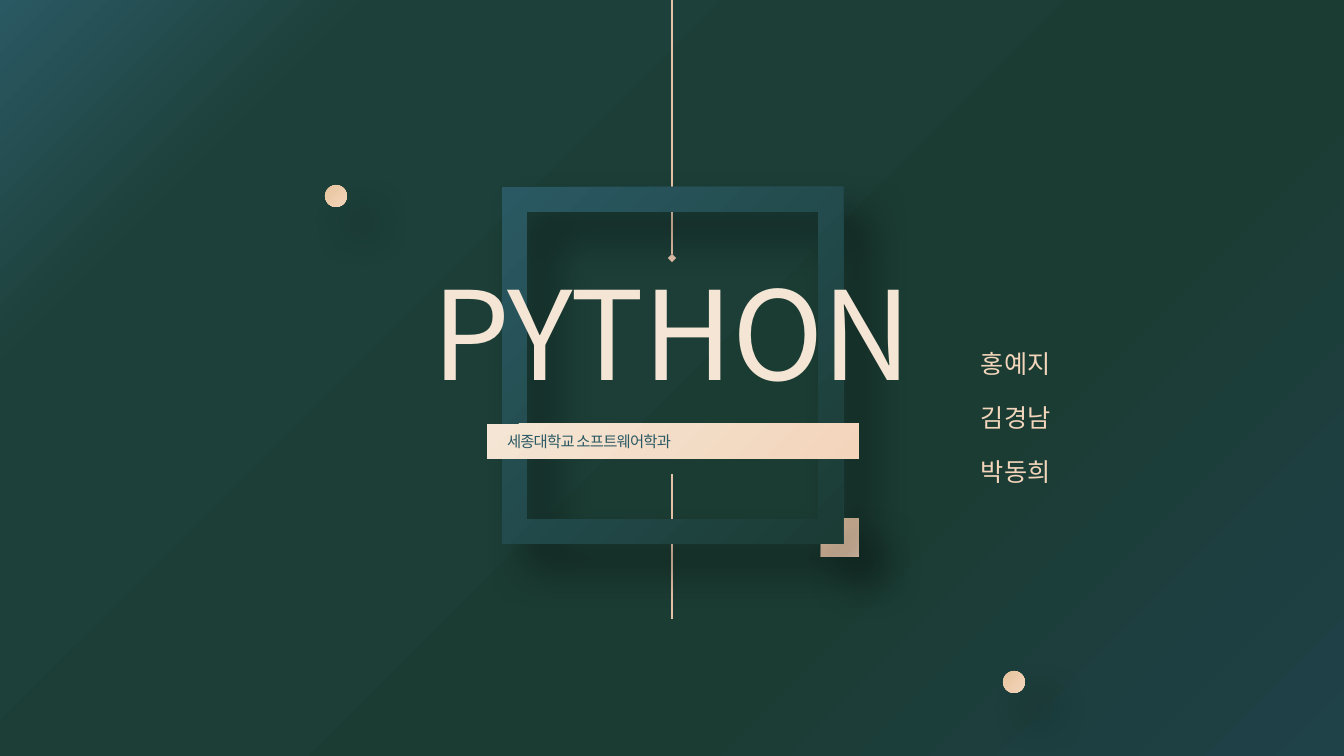
from dataclasses import dataclass
from typing import Any, Optional

from lxml import etree
from pptx import Presentation
from pptx.dml.color import RGBColor
from pptx.enum.shapes import MSO_CONNECTOR, MSO_SHAPE
from pptx.enum.text import MSO_ANCHOR, MSO_AUTO_SIZE, PP_ALIGN
from pptx.oxml import parse_xml
from pptx.oxml.ns import nsdecls, qn
from pptx.util import Pt

STRAIGHT = MSO_CONNECTOR.STRAIGHT
RECTANGLE, FRAME, OVAL = MSO_SHAPE.RECTANGLE, MSO_SHAPE.FRAME, MSO_SHAPE.OVAL
MIDDLE, NO_FIT = MSO_ANCHOR.MIDDLE, MSO_AUTO_SIZE.NONE
LEFT, CENTER, JUSTIFY = PP_ALIGN.LEFT, PP_ALIGN.CENTER, PP_ALIGN.JUSTIFY

PIXELS_PER_INCH = 100.8
FONT = "Noto Sans CJK KR"
COLORS = {
    "teal": "2A5963", "slate": "1F4148", "forest": "1B3C33",
    "pine": "1D403A", "moss": "1B3C35", "line": "E4C2A9",
    "gold": "E7C49D", "peach": "F3D5BB", "cream": "F4E5D4",
}


@dataclass(frozen=True)
class Gradient:
    stops: tuple[tuple[int, str], ...]
    radial: bool = False


@dataclass(frozen=True)
class Ornament:
    kind: Any
    left: int
    top: int
    width: int
    height: int
    gradient: Gradient
    adjustment: Optional[float] = None


BACKDROP = Gradient(((0, "slate"), (33, "forest"), (82, "pine"), (100, "teal")), True)
GOLDEN = Gradient(((0, "gold"), (100, "peach")))
DEEP = Gradient(((0, "teal"), (100, "moss")))
TITLE_GLOW = Gradient(((0, "cream"), (100, "peach")), True)
RIBBON = Gradient(((0, "peach"), (100, "cream")), True)

LINE_X = 672
CORNER = Ornament(RECTANGLE, 821, 519, 38, 38, GOLDEN)
PICTURE_FRAME = Ornament(FRAME, 502, 187, 341, 357, DEEP, 0.073)
UPPER_DOT = Ornament(OVAL, 325, 185, 22, 22, GOLDEN)
LOWER_DOT = Ornament(OVAL, 1003, 671, 22, 22, GOLDEN)
NAMES = ("홍예지", "김경남", "박동희")


def px(value: int) -> int:
    return round(value * 914400 / PIXELS_PER_INCH)


def color(name: str) -> RGBColor:
    return RGBColor.from_string(COLORS[name])


def paint(fill: Any, holder: Any, gradient: Gradient) -> None:
    """Swap a solid fill inside the holder element for a gradient."""
    fill.solid()
    solid = next(holder.iter(qn("a:solidFill")))
    stops = "".join(
        f'<a:gs pos="{position * 1000}"><a:srgbClr val="{COLORS[name]}"/></a:gs>'
        for position, name in gradient.stops
    )
    direction = (
        '<a:path path="circle"><a:fillToRect l="100000" t="100000"/></a:path>'
        if gradient.radial else '<a:lin ang="2700000" scaled="0"/>'
    )
    solid.getparent().replace(solid, parse_xml(
        f'<a:gradFill {nsdecls("a")} rotWithShape="1">'
        f"<a:gsLst>{stops}</a:gsLst>{direction}</a:gradFill>"
    ))


def place(shape: Any, left: int, top: int, width: int, height: int) -> None:
    shape.left, shape.top = px(left), px(top)
    shape.width, shape.height = px(width), px(height)


def add_line(page: Any, top: int, bottom: int, diamond: bool = False) -> None:
    line = page.shapes.add_connector(STRAIGHT, px(LINE_X), px(top), px(LINE_X), px(bottom))
    line.line.color.rgb = color("line")
    line.line.width = Pt(1)
    if diamond:
        etree.SubElement(line.line._get_or_add_ln(), qn("a:tailEnd"), type="diamond")
    etree.SubElement(line._element.spPr, qn("a:effectLst"))


def add_ornament(page: Any, item: Ornament) -> None:
    shape = page.shapes.add_shape(
        item.kind, px(item.left), px(item.top), px(item.width), px(item.height)
    )
    if item.adjustment is not None:
        shape.adjustments[0] = item.adjustment
    shape.line.fill.background()
    paint(shape.fill, shape._element.spPr, item.gradient)
    shape.shadow.inherit = False
    effects = shape._element.spPr.find(qn("a:effectLst"))
    effects.append(parse_xml(
        f'<a:outerShdw {nsdecls("a")} blurRad="{Pt(30)}" dist="{Pt(26)}" dir="2700000" '
        'algn="tl" rotWithShape="0"><a:srgbClr val="000000">'
        '<a:alpha val="40000"/></a:srgbClr></a:outerShdw>'
    ))


def write(
    shape: Any, *lines: str, size: int, ink: str = "peach", align: Any = LEFT,
    glow: Optional[Gradient] = None, tracking: int = 0, gap: int = 0,
    line_spacing: float = 1.0, margins: tuple[int, int] = (0, 0),
) -> None:
    frame = shape.text_frame
    frame.word_wrap = True
    frame.auto_size = NO_FIT
    frame.vertical_anchor = MIDDLE
    frame.margin_left = frame.margin_right = px(margins[0])
    frame.margin_top = frame.margin_bottom = px(margins[1])
    for index, text in enumerate(lines):
        para = frame.add_paragraph() if index else frame.paragraphs[0]
        para.alignment = align
        para.line_spacing = line_spacing
        para.space_before = Pt(gap if index else 0)
        span = para.add_run()
        span.text = text
        span.font.size = Pt(size)
        span.font.color.rgb = color(ink)
        properties = span.font._element
        if glow:
            paint(span.font.fill, properties, glow)
        span.font.name = FONT
        etree.SubElement(properties, qn("a:ea"), typeface=FONT)
        if tracking:
            properties.set("spc", str(tracking))


def main() -> None:
    deck = Presentation()
    deck.slide_width, deck.slide_height = px(1344), px(756)
    page = deck.slides.add_slide(deck.slide_layouts[0])
    title, subtitle = page.placeholders

    # Background and vertical lines
    paint(page.background.fill, page._element, BACKDROP)
    add_line(page, 0, 258, diamond=True)
    add_line(page, 474, 619)

    # Presenters
    names = page.shapes.add_textbox(px(930), px(269), px(312), px(296))
    write(names, *NAMES, size=18, gap=17, margins=(51, 0))

    # Frame and ornaments behind the title
    for item in (CORNER, PICTURE_FRAME, UPPER_DOT):
        add_ornament(page, item)

    # Title and ribbon, raised above the frame
    for placeholder in (title, subtitle):
        page.shapes._spTree.append(placeholder._element)
    place(title, 235, 258, 874, 161)
    write(title, "PYTHON", size=88, align=CENTER, glow=TITLE_GLOW,
          tracking=-60, line_spacing=0.94, margins=(10, 5))

    place(subtitle, 487, 424, 372, 35)
    subtitle._element.spPr.append(parse_xml(
        f'<a:prstGeom {nsdecls("a")} prst="plaque"><a:avLst>'
        '<a:gd name="adj" fmla="val 7000"/></a:avLst></a:prstGeom>'
    ))
    paint(subtitle.fill, subtitle._element.spPr, RIBBON)
    write(subtitle, "세종대학교 소프트웨어학과", size=11, ink="teal",
          align=JUSTIFY, tracking=-60, margins=(20, 5))

    add_ornament(page, LOWER_DOT)
    deck.save("out.pptx")


if __name__ == "__main__":
    main()
